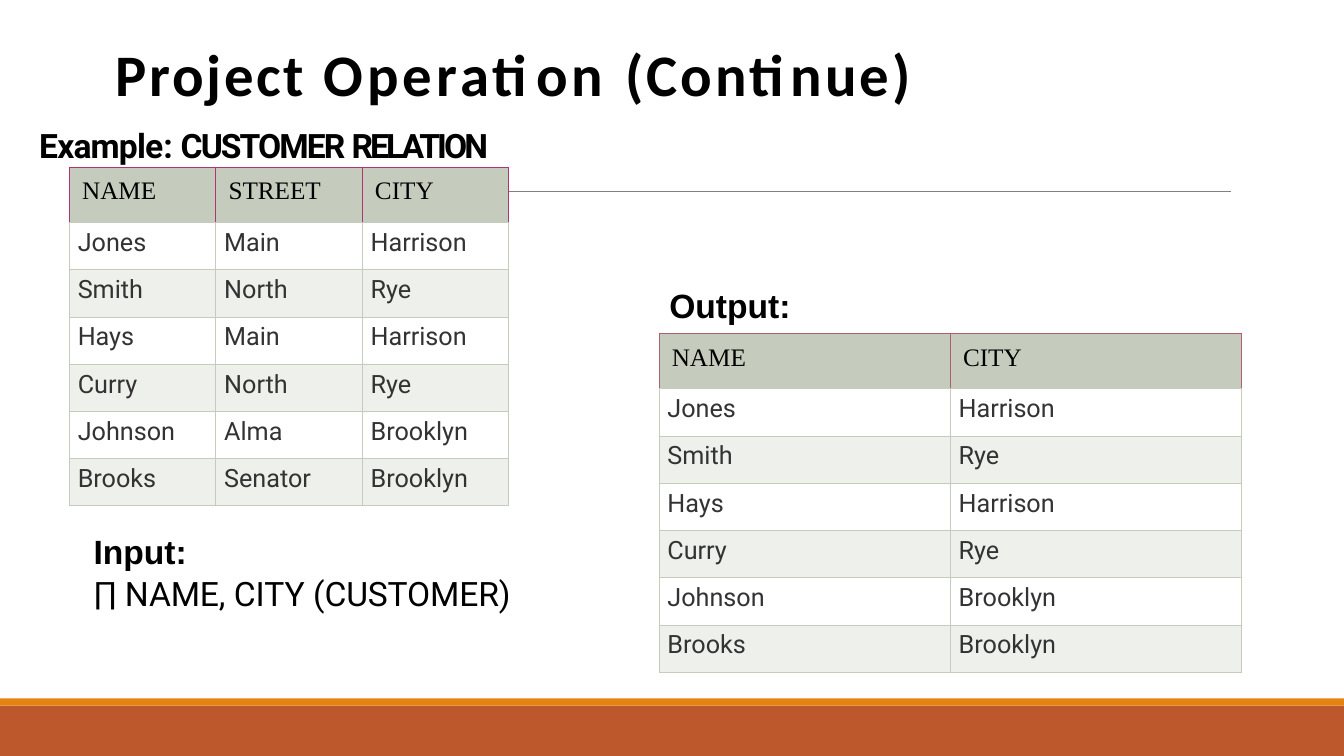
from dataclasses import dataclass

from lxml.etree import SubElement as Sub
from pptx import Presentation as Deck
from pptx.dml.color import RGBColor as Rgb
from pptx.enum.shapes import MSO_CONNECTOR as Link, MSO_SHAPE as Form
from pptx.enum.text import MSO_ANCHOR as Anchor, MSO_AUTO_SIZE as Fit, PP_ALIGN as Align
from pptx.oxml.ns import qn
from pptx.util import Cm, Pt

HUES = {
    "rust": "BD582C", "amber": "E48312", "rule": "808080", "black": "000000",
    "text": "333333", "sage": "C6CCBD", "mist": "EEF0EB", "white": "FFFFFF",
    "plum": "AF356F", "rose": "AF5E6F",
}
TITLE = {"name": "Calibri", "size": Pt(42), "bold": True}
HEAD = {"name": "Times New Roman", "size": Pt(18), "bold": False}
CELL = {"name": "Roboto", "size": Pt(18), "bold": False}
LABEL = {"name": "Arial", "size": Pt(24), "bold": True}
STRONG = {"name": "Roboto", "size": Pt(24), "bold": True}
PLAIN = {"name": "Roboto", "size": Pt(24), "bold": False}
FRAME = {
    "margin_left": 0, "margin_top": Cm(0.03), "margin_right": 0, "margin_bottom": 0,
    "word_wrap": True, "auto_size": Fit.NONE,
}


@dataclass
class Span:
    text: str
    look: dict
    space: float = 0
    hue: str = "black"


@dataclass
class Note:
    box: tuple[float, ...]
    lines: list[list[Span]]


@dataclass
class Band:
    top: float
    height: float
    hue: str


@dataclass
class Grid:
    left: float
    top: float
    width: float
    edge: str
    rows: list[tuple[str, ...]]


PEOPLE = [
    ("NAME", "STREET", "CITY"),
    ("Jones", "Main", "Harrison"),
    ("Smith", "North", "Rye"),
    ("Hays", "Main", "Harrison"),
    ("Curry", "North", "Rye"),
    ("Johnson", "Alma", "Brooklyn"),
    ("Brooks", "Senator", "Brooklyn"),
]
BANDS = [Band(17.78, 1.27, "rust"), Band(17.6, 0.18, "amber")]
GRIDS = [
    Grid(1.75, 4.22, 3.69, "plum", PEOPLE),
    Grid(16.61, 8.41, 7.34, "rose", [(name, city) for name, _, city in PEOPLE]),
]
HEADING = Note((2.92, 0.89, 21.03, 1.83), [[
    Span("Project ", TITLE, 1.9), Span("Operation ", TITLE, 3), Span("(Continue)", TITLE, 2.2),
]])
NOTES = [
    Note((0.99, 3.12, 12.62, 1.09), [[
        Span("Example", STRONG, -0.6), Span(": ", STRONG, -0.3),
        Span("CUSTOMER ", STRONG, -1.4), Span("RELATION", STRONG, -2.1),
    ]]),
    Note((2.36, 13.36, 13.06, 2.11), [
        [Span("Input:", LABEL)],
        [Span("∏ NAME,", PLAIN, -0.1), Span(" CITY ", PLAIN), Span("(CUSTOMER)", PLAIN, -0.1)],
    ]),
    Note((16.87, 7.16, 3.12, 1.09), [[Span("Output:", LABEL)]]),
]


def tint(hue: str) -> Rgb:
    return Rgb.from_string(HUES[hue])


def apply(item, looks: dict) -> None:
    for key, value in looks.items():
        setattr(item, key, value)


def write(para, spans: list[Span]) -> None:
    para.alignment = Align.LEFT
    for span in spans:
        run = para.add_run()
        run.text = span.text
        apply(run.font, span.look)
        run.font.color.rgb = tint(span.hue)
        if span.space:
            run.font._element.set("spc", str(round(span.space * 100)))


def fill_note(shape, note: Note) -> None:
    apply(shape, dict(zip(("left", "top", "width", "height"), map(Cm, note.box))))
    frame = shape.text_frame
    apply(frame, FRAME)
    for pos, spans in enumerate(note.lines):
        para = frame.add_paragraph() if pos else frame.paragraphs[0]
        para.space_before = Pt(1 if pos else 0)
        write(para, spans)


def add_band(slide, band: Band, width: int) -> None:
    shape = slide.shapes.add_shape(Form.RECTANGLE, 0, Cm(band.top), width, Cm(band.height))
    shape.shadow.inherit = False
    shape.fill.solid()
    shape.fill.fore_color.rgb = tint(band.hue)
    shape.line.fill.background()


def add_rule(slide) -> None:
    rule = slide.shapes.add_connector(Link.STRAIGHT, Cm(3.33), Cm(4.82), Cm(31.01), Cm(4.82))
    rule.line.color.rgb = tint("rule")
    rule.line.width = Pt(0.5)
    Sub(rule._element.spPr, qn("a:effectLst"))


def add_edge(cell, side: str, hue: str) -> None:
    line = Sub(cell._tc.get_or_add_tcPr(), qn(f"a:ln{side}"), w=str(Pt(0.75)))
    Sub(Sub(line, qn("a:solidFill")), qn("a:srgbClr"), val=HUES[hue])


def add_grid(slide, grid: Grid) -> None:
    count, wide = len(grid.rows), len(grid.rows[0])
    table = slide.shapes.add_table(
        count, wide, Cm(grid.left), Cm(grid.top), Cm(grid.width * wide), Cm(8.53)
    ).table
    apply(table, {"first_row": False, "horz_banding": False})
    for col in table.columns:
        col.width = Cm(grid.width)
    for row, words in enumerate(grid.rows):
        first = row == 0
        table.rows[row].height = Cm(1.39 if first else 1.19)
        for col, word in enumerate(words):
            cell = table.cell(row, col)
            apply(cell, {
                "margin_left": Cm(0.32 if first else 0.21),
                "margin_top": Cm(0.25 if first else 0.14),
                "margin_right": 0, "margin_bottom": 0,
            })
            for side in "LRTB":
                add_edge(cell, side, grid.edge if first and side != "B" else "sage")
            cell.fill.solid()
            cell.fill.fore_color.rgb = tint("sage" if first else ("mist", "white")[row % 2])
            span = Span(word, HEAD) if first else Span(word, CELL, hue="text")
            write(cell.text_frame.paragraphs[0], [span])


def main() -> None:
    deck = Deck()
    apply(deck, {"slide_width": Cm(33.87), "slide_height": Cm(19.05)})
    slide = deck.slides.add_slide(deck.slide_layouts[5])
    for band in BANDS:
        add_band(slide, band, deck.slide_width)
    add_rule(slide)
    title = slide.shapes.title
    fill_note(title, HEADING)
    title.text_frame.vertical_anchor = Anchor.BOTTOM
    for grid in GRIDS:
        add_grid(slide, grid)
    for note in NOTES:
        fill_note(slide.shapes.add_textbox(0, 0, 0, 0), note)
    deck.save("out.pptx")


if __name__ == "__main__":
    main()
